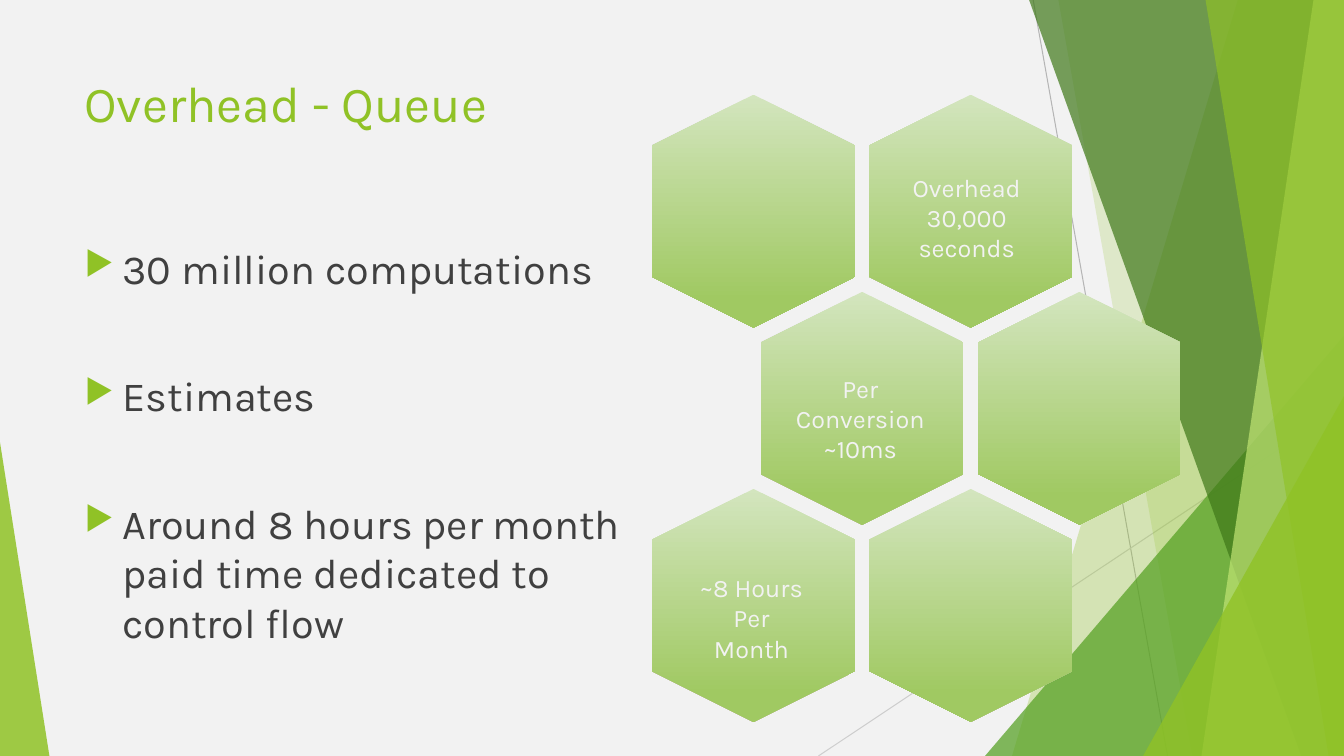
from lxml.etree import SubElement
from pptx import Presentation
from pptx.dml.color import RGBColor
from pptx.enum.shapes import MSO_CONNECTOR as Connector, MSO_SHAPE as Preset
from pptx.enum.text import PP_ALIGN as Align
from pptx.oxml.ns import qn
from pptx.util import Pt

THEME = {
    "font": "Karla",
    "background": "F2F2F2",
    "green": "90C226",
    "leaf": "54A021",
    "forest": "3F7819",
    "lime": "C0E474",
    "text": "404040",
    "label": "F2F2F2",
    "hexagon": [(0, "D3E5BE"), (0.88, "A0C962")],
    "title_size": 36,
    "body_size": 29.6,
    "label_size": 18,
}
WIDTH, HEIGHT = 960, 540

TITLE = ["Overhead - Queue"]
BULLETS = [
    "30 million computations",
    "Estimates",
    "Around 8 hours per month paid time dedicated to control flow",
]
LABELS = [
    (["Per Conversion", "~10ms"], (547.2, 262.8, 134.6, 51)),
    (["Overhead", "30,000 seconds"], (621.4, 119.5, 138.2, 51)),
    (["~8 Hours", "Per Month"], (488.9, 405.4, 95.8, 51)),
]
LINES = [
    ((738, 0), (834, HEIGHT), "B5B5B5"),
    ((WIDTH, 290), (584.6, HEIGHT), "CECECE"),
]
DECORATIONS = [
    ("band", (884.2, 722.9), "green", 30),
    ("band", (756, 851.8), "green", 20),
    ("triangle", (703.6, 239.8, 256.4, 1), "leaf", 72),
    ("band", (735.1, 929.5), "forest", 70),
    ("band", (938.2, 858.2), "lime", 70),
    ("band", (861.1, 949), "green", 65),
    ("triangle", (816.5, 283, 143.5, 1), "green", 80),
    ("triangle", (0, 316, 35.3, 0), "green", 85),
]
HEXAGON_LENGTH, HEXAGON_BREADTH = 166.3, 144.7
HEXAGON_CENTRE = (538.2, 150.8)
HEXAGON_STEP = (155.2, 140.8)
HEXAGON_ROWS, HEXAGON_COLUMNS = 3, 2


def color(value):
    return RGBColor.from_string(value)


def points(*values):
    return [Pt(value) for value in values]


def add_text(slide, lines, box, size, fill, align=Align.LEFT, bullet=None, gap=0):
    frame = slide.shapes.add_textbox(*points(*box)).text_frame
    frame.word_wrap = True
    for index, line in enumerate(lines):
        paragraph = frame.paragraphs[0] if index == 0 else frame.add_paragraph()
        paragraph.alignment = align
        paragraph.space_before = Pt(gap if index else 0)
        run = paragraph.add_run()
        run.text = line
        run.font.name = THEME["font"]
        run.font.size = Pt(size)
        run.font.color.rgb = color(fill)
        if bullet:
            properties = paragraph._p.get_or_add_pPr()
            properties.set("marL", str(Pt(27)))
            properties.set("indent", str(Pt(-27)))
            bullet_color = SubElement(properties, qn("a:buClr"))
            SubElement(bullet_color, qn("a:srgbClr"), val=bullet)
            SubElement(properties, qn("a:buSzPct"), val="80000")
            SubElement(properties, qn("a:buChar"), char="▶")


def add_line(slide, start, end, stroke):
    line = slide.shapes.add_connector(Connector.STRAIGHT, *points(*start, *end))
    line.line.color.rgb = color(stroke)
    line.line.width = Pt(0.75)
    SubElement(line._element.spPr, qn("a:effectLst"))


def add_band(slide, top, bottom):
    builder = slide.shapes.build_freeform(Pt(top), 0)
    corners = [(WIDTH, 0), (WIDTH, HEIGHT), (bottom, HEIGHT)]
    builder.add_line_segments([points(*corner) for corner in corners], close=True)
    return builder.convert_to_shape()


def add_triangle(slide, left, top, width, apex):
    box = points(left, top, width, HEIGHT - top)
    shape = slide.shapes.add_shape(Preset.ISOSCELES_TRIANGLE, *box)
    shape.adjustments[0] = apex
    return shape


def add_decoration(slide, kind, geometry, name, opacity):
    build = {"band": add_band, "triangle": add_triangle}[kind]
    shape = build(slide, *geometry)
    shape.shadow.inherit = False
    shape.line.fill.background()
    shape.fill.solid()
    shape.fill.fore_color.rgb = color(THEME[name])
    fill_color = shape._element.spPr.find(qn("a:solidFill")).find(qn("a:srgbClr"))
    SubElement(fill_color, qn("a:alpha"), val=str(opacity * 1000))


def add_hexagon(slide, row, column):
    centre_x = HEXAGON_CENTRE[0] + (column + row % 2 / 2) * HEXAGON_STEP[0]
    centre_y = HEXAGON_CENTRE[1] + row * HEXAGON_STEP[1]
    left, top = centre_x - HEXAGON_LENGTH / 2, centre_y - HEXAGON_BREADTH / 2
    box = points(left, top, HEXAGON_LENGTH, HEXAGON_BREADTH)
    shape = slide.shapes.add_shape(Preset.HEXAGON, *box)
    shape.rotation = 90
    shape.adjustments[0] = 0.25
    shape.shadow.inherit = False
    shape.line.fill.background()
    shape.fill.gradient()
    shape.fill.gradient_angle = 270
    for stop, (position, value) in zip(shape.fill.gradient_stops, THEME["hexagon"]):
        stop.position = position
        stop.color.rgb = color(value)
    shape._element.spPr.find(qn("a:gradFill")).set("rotWithShape", "0")


def main():
    presentation = Presentation()
    presentation.slide_width, presentation.slide_height = points(WIDTH, HEIGHT)
    slide = presentation.slides.add_slide(presentation.slide_layouts[6])
    slide.background.fill.solid()
    slide.background.fill.fore_color.rgb = color(THEME["background"])
    for line in LINES:
        add_line(slide, *line)
    for decoration in DECORATIONS:
        add_decoration(slide, *decoration)
    add_text(slide, TITLE, (53.3, 48.2, 676.8, 103.7), THEME["title_size"], THEME["green"])
    add_text(slide, BULLETS, (53.3, 169.9, 403.9, 305.3), THEME["body_size"],
             THEME["text"], bullet=THEME["green"], gap=55.5)
    for row in range(HEXAGON_ROWS):
        for column in range(HEXAGON_COLUMNS):
            add_hexagon(slide, row, column)
    for lines, box in LABELS:
        add_text(slide, lines, box, THEME["label_size"], THEME["label"], align=Align.CENTER)
    presentation.save("out.pptx")


if __name__ == "__main__":
    main()
